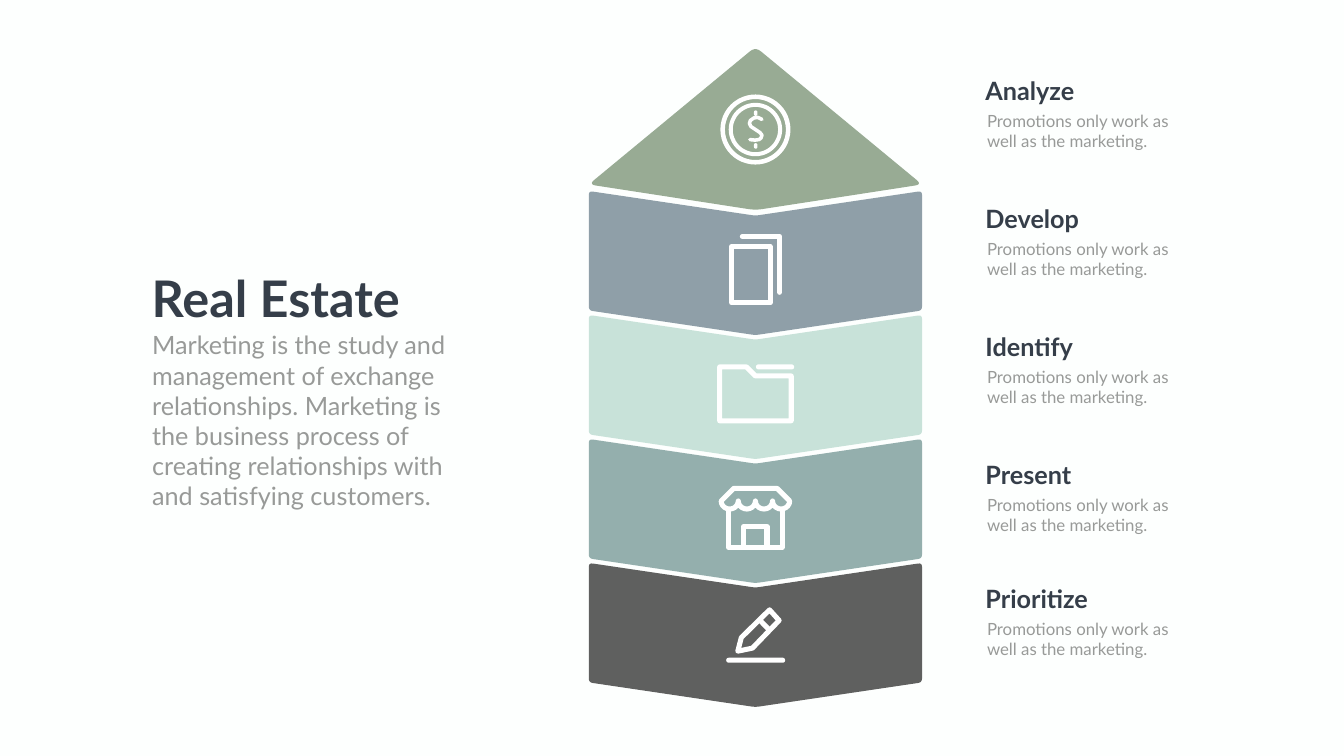
import math

from pptx import Presentation
from pptx import util as u
from pptx.dml.color import RGBColor
from pptx.enum import shapes, text
from pptx.oxml import xmlchemy

PX = 9144
FONT = "Lato"
PAPER = RGBColor(0xFD, 0xFF, 0xFE)
WHITE = RGBColor(0xFF, 0xFF, 0xFF)
NAVY = RGBColor(0x35, 0x3E, 0x49)
GREY = RGBColor(0x98, 0x9A, 0x98)
SAGE = RGBColor(0x98, 0xAB, 0x94)
SLATE = RGBColor(0x8F, 0x9F, 0xA8)
MINT = RGBColor(0xC8, 0xE2, 0xD9)
TEAL = RGBColor(0x94, 0xAF, 0xAD)
CHARCOAL = RGBColor(0x5F, 0x60, 0x5F)


def px(n):
    return u.Emu(round(n * PX))


def freeform(s, contours, close=True):
    contours = [[(px(x), px(y)) for x, y in pts] for pts in contours]
    builder = s.shapes.build_freeform(*contours[0][0], scale=1.0)
    for i, pts in enumerate(contours):
        if i:
            builder.move_to(*pts[0])
        builder.add_line_segments(pts[1:], close=close)
    sp = builder.convert_to_shape()
    sp.shadow.inherit = False
    return sp


def rounded(pts, radius, steps=5):
    out = []
    for i, (x, y) in enumerate(pts):
        ends = []
        for nx, ny in (pts[i - 1], pts[(i + 1) % len(pts)]):
            f = radius / math.hypot(nx - x, ny - y)
            ends.append((x + (nx - x) * f, y + (ny - y) * f))
        (ax, ay), (bx, by) = ends
        for k in range(steps + 1):
            t = k / steps
            a, b, c = (1 - t) ** 2, 2 * t * (1 - t), t * t
            out.append((a * ax + b * x + c * bx, a * ay + b * y + c * by))
    return out


def solid(sp, color):
    sp.fill.solid()
    sp.fill.fore_color.rgb = color
    sp.line.fill.background()


def panel(s, pts, color, radius=8):
    solid(freeform(s, [rounded(pts, radius)]), color)


def white_line(sp, width):
    sp.fill.background()
    sp.line.color.rgb = WHITE
    sp.line.width = px(width)
    ln = sp.line._get_or_add_ln()
    ln.set("cap", "rnd")
    ln.append(xmlchemy.OxmlElement("a:round"))


def stroke(s, origin, *contours, width=10, close=False):
    x0, y0 = origin
    moved = [[(x0 + x, y0 + y) for x, y in pts] for pts in contours]
    white_line(freeform(s, moved, close), width)


def bar(s, origin, x, y, w, h):
    sp = s.shapes.add_shape(shapes.MSO_SHAPE.ROUNDED_RECTANGLE,
                            px(origin[0] + x), px(origin[1] + y), px(w), px(h))
    sp.adjustments[0] = 0.5
    sp.shadow.inherit = False
    solid(sp, WHITE)


def coin(s, origin):
    x, y = origin
    for radius, width in ((65, 9), (49, 8)):
        sp = s.shapes.add_shape(shapes.MSO_SHAPE.OVAL, px(x - radius), px(y + 160 - radius),
                                px(2 * radius), px(2 * radius))
        sp.shadow.inherit = False
        white_line(sp, width)
    stroke(s, origin, [(13, 140), (5, 136), (-3, 137), (-10, 142), (-12, 148), (-9, 154),
                       (0, 160), (9, 166), (13, 171), (11, 177), (7, 180), (-1, 181),
                       (-11, 180)], width=7)
    for top in (122, 187):
        bar(s, origin, -3, top, 7, 11)


def documents(s, origin):
    stroke(s, origin, [(-47, 110), (29, 110), (29, 222), (-47, 222)], close=True)
    stroke(s, origin, [(-26, 90), (48, 90), (48, 201)])


def folder(s, origin):
    stroke(s, origin, [(-71, 103), (-18, 103), (0, 121), (71, 121), (71, 210), (-71, 210)],
           close=True)
    bar(s, origin, 1, 98, 76, 10)


def store(s, origin):
    scallops = [(c + 17 * math.cos(math.pi * k / 10), 123 + 16 * math.sin(math.pi * k / 10))
                for c in (51, 17, -17, -51) for k in range(11)]
    awning = [(-68, 123), (-43, 98), (43, 98)] + scallops + [(-68, 123)]
    walls = [(-53, 141), (-53, 215), (53, 215), (53, 141)]
    door = [(-23, 215), (-23, 174), (23, 174), (23, 215)]
    stroke(s, origin, awning, walls, door)


def pencil(s, origin):
    body = [(-35, 175), (-28, 148), (28, 93), (47, 114), (-6, 169), (-35, 175)]
    stroke(s, origin, body, [(10, 115), (26, 131)])
    bar(s, origin, -58, 188, 117, 10)


def roof(s, x, y, w, h):
    mid = x + w / 2
    panel(s, [(mid, y - 4), (x + w + 6, y + h - 51), (mid, y + h), (x - 6, y + h - 51)],
          SAGE, 14)
    coin(s, (mid, y))


def chevron(s, x, y, w, h, color, icon):
    mid, dip = x + w / 2, 49
    panel(s, [(x, y), (mid, y + dip), (x + w, y), (x + w, y + h - dip),
              (mid, y + h), (x, y + h - dip)], color)
    icon(s, (mid, y))


def tower(s, x, y, w):
    roof(s, x + 6, y, w - 12, 320)
    floors = [(SLATE, documents), (MINT, folder), (TEAL, store), (CHARCOAL, pencil)]
    for i, (color, icon) in enumerate(floors):
        chevron(s, x, y + 282 + 246 * i, w, 286, color, icon)


def write(sp, words, size, color, bold=False):
    tf = sp.text_frame
    tf.word_wrap = True
    tf.auto_size = text.MSO_AUTO_SIZE.NONE
    tf.vertical_anchor = text.MSO_ANCHOR.TOP
    p = tf.paragraphs[0]
    p.alignment = text.PP_ALIGN.LEFT
    r = p.add_run()
    r.text = words
    r.font.name = FONT
    r.font.size = u.Pt(size)
    r.font.bold = bold
    r.font.color.rgb = color


def label(s, x, y, w, h, *style):
    write(s.shapes.add_textbox(px(x), px(y), px(w), px(h)), *style)


def intro(s, x, y, w):
    title = s.shapes.title
    title.left, title.top, title.width, title.height = px(x), px(y), px(526), px(131)
    write(title, "Real Estate", 72, NAVY, True)
    label(s, x + 1, y + 124, w, 374,
          "Marketing is the study and management of exchange relationships. Marketing is the "
          "business process of creating relationships with and satisfying customers.", 36, GREY)


def step(s, x, y, w, name):
    label(s, x, y, 261, 71, name, 36, NAVY, True)
    label(s, x + 3, y + 70, w, 91, "Promotions only work as well as the marketing.", 24, GREY)


def main():
    prs = Presentation()
    prs.slide_width, prs.slide_height = px(2666), px(1500)
    s = prs.slides.add_slide(prs.slide_layouts[5])
    s.background.fill.solid()
    s.background.fill.fore_color.rgb = PAPER
    tower(s, 1168, 97, 661)
    steps = [("Analyze", 144), ("Develop", 399), ("Identify", 652), ("Present", 907),
             ("Prioritize", 1152)]
    for name, top in steps:
        step(s, 1945, top, 402, name)
    intro(s, 291, 525, 654)
    prs.save("out.pptx")


if __name__ == "__main__":
    main()
